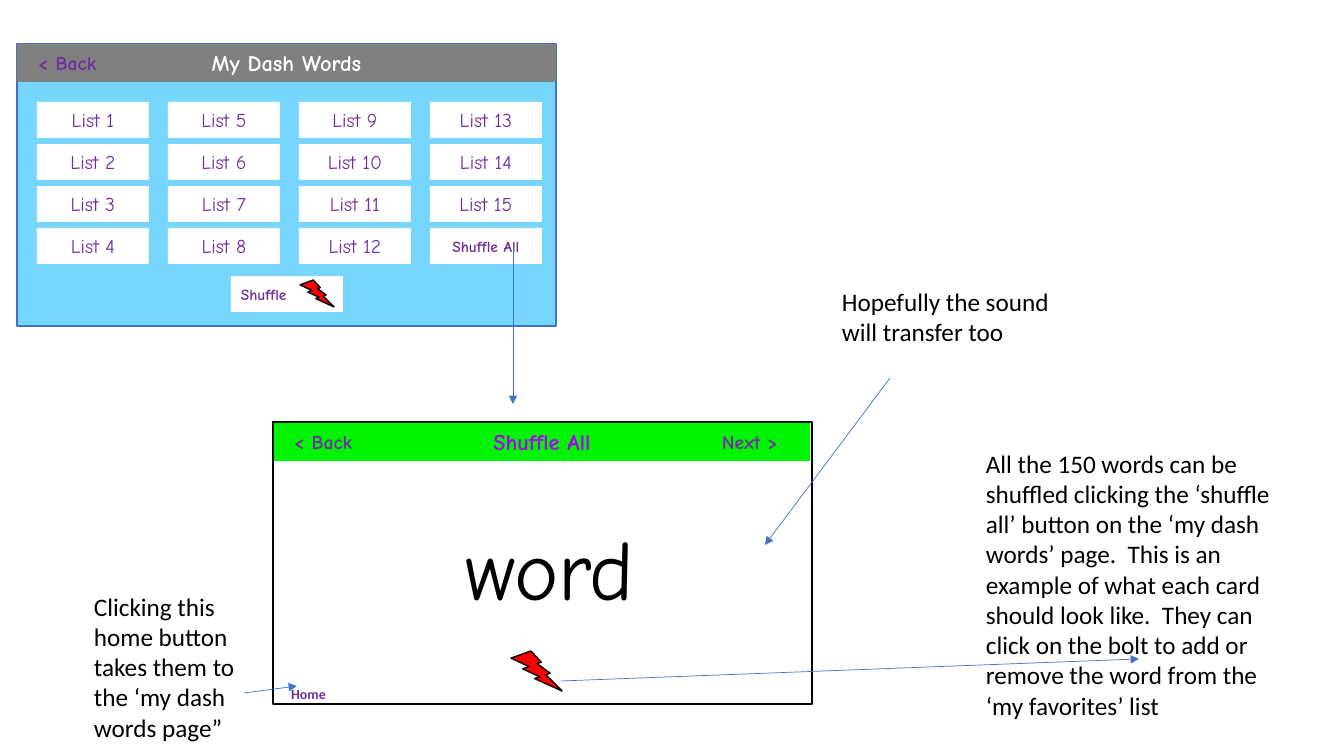
from lxml.etree import SubElement
from pptx import Presentation
from pptx.dml.color import RGBColor
from pptx.enum.shapes import MSO_CONNECTOR, MSO_SHAPE
from pptx.enum.text import MSO_ANCHOR, MSO_AUTO_SIZE, PP_ALIGN
from pptx.oxml.ns import qn
from pptx.util import Emu, Pt

PX = 914400 / 100.8
COLORS = {
    "white": "FFFFFF", "black": "000000", "green": "00F300", "sky": "76D6FF",
    "gray": "808080", "red": "FF0000", "blue": "4472C4",
    "purple": "7030A0", "violet": "AB00F9",
}
FORMATS = {
    "list": {"name": "Comic Neue", "size": 14, "color": "purple"},
    "navigation": {"name": "Comic Neue", "size": 14, "color": "purple", "bold": True},
    "shuffle": {"name": "Comic Neue", "size": 11, "color": "purple", "bold": True},
    "menu title": {"name": "Comic Neue", "size": 16, "color": "white", "bold": True},
    "card title": {"name": "Comic Neue", "size": 16, "color": "violet", "bold": True},
    "word": {"name": "Comic Neue", "size": 60, "color": "black"},
    "home": {"name": "Calibri", "size": 10, "color": "purple", "bold": True},
    "note": {"name": "Calibri", "size": 18, "color": "black"},
}

# Boxes are left, top, width, height in px
CARD_TEXTS = [
    ("< Back", (284, 425, 86, 34), "navigation", PP_ALIGN.LEFT, False),
    ("Next >", (712, 425, 90, 34), "navigation", PP_ALIGN.LEFT, False),
    ("Home", (272, 681, 73, 27), "home", PP_ALIGN.CENTER, True),
    ("word", (441, 512, 218, 112), "word", PP_ALIGN.CENTER, True),
]
NOTES = [
    ("All the 150 words can be shuffled clicking the ‘shuffle all’ button on the "
     "‘my dash words’ page.  This is an example of what each card should look like.  "
     "They can click on the bolt to add or remove the word from the ‘my favorites’ list",
     (976, 443, 304, 285)),
    ("Hopefully the sound will transfer too", (832, 281, 263, 72)),
    ("Clicking this home button takes them to the ‘my dash words page”",
     (84, 586, 183, 163)),
]
BOLTS = [(511, 651, 51, 40), (300, 280, 34, 27)]
ARROWS = [
    ((561, 681), (1139, 659)),
    ((513, 247), (513, 404)),
    ((890, 378), (765, 545)),
    ((244, 693), (297, 686)),
]
LIST_BUTTONS = [(f"List {number}", "list") for number in range(1, 16)]
LIST_BUTTONS.append(("Shuffle All", "shuffle"))
GRID_LEFT, GRID_TOP, GRID_ROWS = 37, 102, 4
COLUMN_STEP, ROW_STEP = 131, 42
BUTTON_WIDTH, BUTTON_HEIGHT = 112, 36


def px(*lengths):
    return [Emu(round(length * PX)) for length in lengths]


def rgb(color):
    return RGBColor.from_string(COLORS[color])


def write(frame, text, style, align):
    para = frame.paragraphs[0]
    para.alignment = align
    span = para.add_run()
    span.text = text
    values = dict(FORMATS[style])
    span.font.color.rgb = rgb(values.pop("color"))
    values["size"] = Pt(values["size"])
    for name, value in values.items():
        setattr(span.font, name, value)


def add_shape(page, box, fill, line=None, kind=MSO_SHAPE.RECTANGLE):
    shape = page.shapes.add_shape(kind, *px(*box))
    shape.shadow.inherit = False
    shape.fill.solid()
    shape.fill.fore_color.rgb = rgb(fill)
    if line:
        shape.line.color.rgb = rgb(line)
        shape.line.width = Pt(1)
    else:
        shape.line.fill.background()
    return shape


def add_label(page, box, fill, text, style, align=PP_ALIGN.CENTER):
    """Add a borderless rectangle holding one line of text."""
    frame = add_shape(page, box, fill).text_frame
    frame.vertical_anchor = MSO_ANCHOR.MIDDLE
    write(frame, text, style, align)


def add_text(page, text, box, style, align=PP_ALIGN.LEFT, wrap=True):
    frame = page.shapes.add_textbox(*px(*box)).text_frame
    frame.word_wrap = wrap
    frame.auto_size = MSO_AUTO_SIZE.SHAPE_TO_FIT_TEXT
    write(frame, text, style, align)


def add_arrow(page, start, end):
    arrow = page.shapes.add_connector(MSO_CONNECTOR.STRAIGHT, *px(*start, *end))
    arrow.line.color.rgb = rgb("blue")
    arrow.line.width = Pt(0.5)
    SubElement(arrow.line._get_or_add_ln(), qn("a:tailEnd"), type="triangle")
    SubElement(arrow._element.spPr, qn("a:effectLst"))


def add_card(page):
    add_shape(page, (273, 422, 539, 282), "white", "black")
    add_label(page, (274, 423, 536, 38), "green", "Shuffle All", "card title")
    for card_text in CARD_TEXTS:
        add_text(page, *card_text)


def add_menu(page):
    add_shape(page, (17, 44, 539, 282), "sky", "blue")
    add_label(page, (17, 44, 539, 38), "gray", "My Dash Words", "menu title")
    add_text(page, "< Back", (28, 46, 86, 34), "navigation", wrap=False)
    for index, (text, style) in enumerate(LIST_BUTTONS):
        column, row = divmod(index, GRID_ROWS)
        box = (GRID_LEFT + column * COLUMN_STEP, GRID_TOP + row * ROW_STEP,
               BUTTON_WIDTH, BUTTON_HEIGHT)
        add_label(page, box, "white", text, style)
    add_label(page, (231, 276, BUTTON_WIDTH, BUTTON_HEIGHT), "white",
              "Shuffle", "shuffle", PP_ALIGN.LEFT)


def main():
    deck = Presentation()
    deck.slide_width, deck.slide_height = px(1344, 756)
    page = deck.slides.add_slide(deck.slide_layouts[6])
    add_card(page)
    add_menu(page)
    for box in BOLTS:
        add_shape(page, box, "red", "black", MSO_SHAPE.LIGHTNING_BOLT)
    for text, box in NOTES:
        add_text(page, text, box, "note")
    for start, end in ARROWS:
        add_arrow(page, start, end)
    deck.save("out.pptx")


if __name__ == "__main__":
    main()
